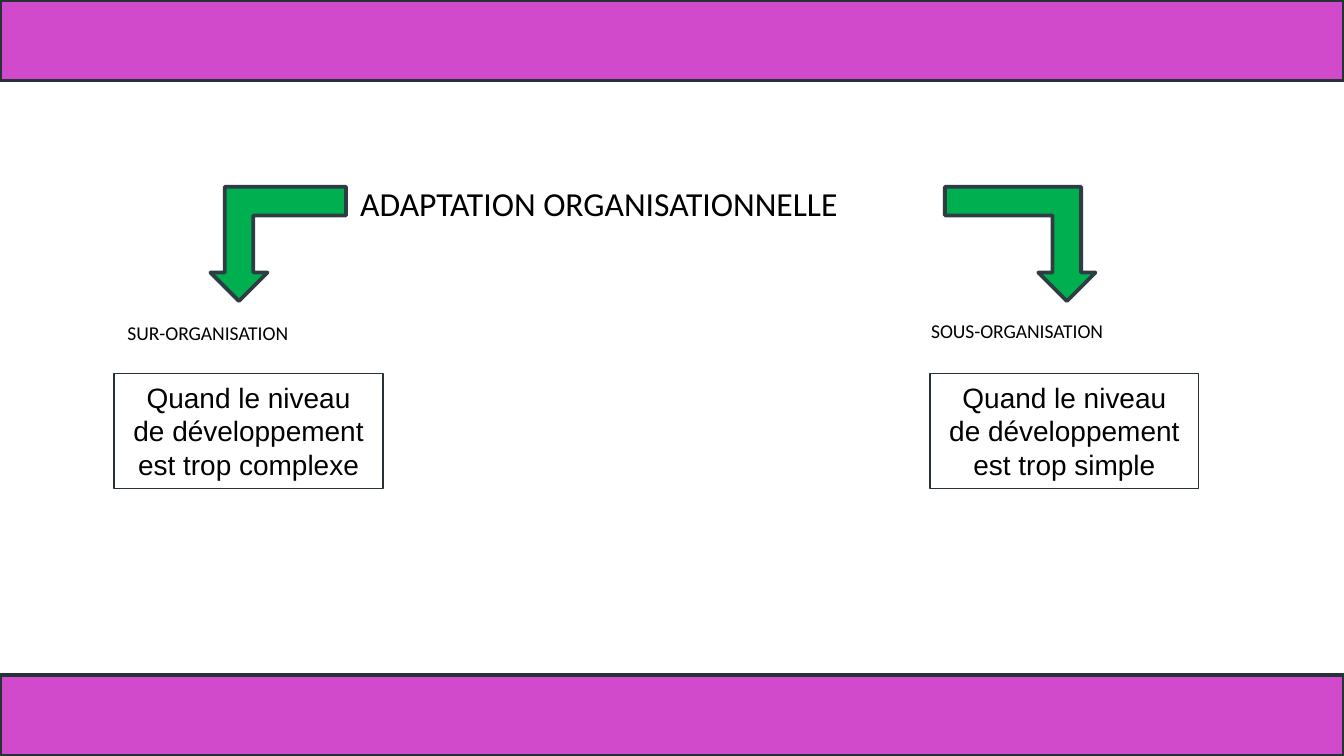
from pptx import Presentation
from pptx.dml.color import RGBColor
from pptx.enum.shapes import MSO_SHAPE as Shape
from pptx.enum.text import MSO_ANCHOR as Anchor, PP_ALIGN as Align
from pptx.util import Pt

PX = 4572  # 200 px to the inch
WIDE, HIGH, BAND = 2000, 1125, 120
PINK, GREEN, DARK, SLATE, BLACK = "D24ACC", "00B050", "263238", "2E3D44", "000000"


def emu(*vals):
    return [v * PX for v in vals]


def color(code):
    return RGBColor.from_string(code)


def write(shape, text, size, font="Calibri", align=Align.LEFT, anchor=Anchor.TOP, side=20):
    frame = shape.text_frame
    frame.word_wrap = True
    frame.vertical_anchor = anchor
    frame.margin_left = frame.margin_right = side * PX
    frame.margin_top = frame.margin_bottom = 10 * PX
    par = frame.paragraphs[0]
    par.alignment = align
    run = par.add_run()
    run.text = text
    run.font.size = Pt(size)
    run.font.name = font
    run.font.color.rgb = color(BLACK)


def draw(slide, kind, box, fill=None, line=DARK, width=2):
    shape = slide.shapes.add_shape(kind, *emu(*box))
    shape.shadow.inherit = False
    if fill:
        shape.fill.solid()
        shape.fill.fore_color.rgb = color(fill)
    else:
        shape.fill.background()
    shape.line.color.rgb = color(line)
    shape.line.width = Pt(width)
    return shape


def add_title(slide, text, box):
    title = slide.shapes.title
    title.left, title.top, title.width, title.height = emu(*box)
    write(title, text, 18)


def add_arrow(slide, box, flip):
    arrow = draw(slide, Shape.BENT_UP_ARROW, box, GREEN, SLATE)
    arrow.rotation = 180
    if flip:
        arrow._element.spPr.xfrm.set("flipH", "1")


def add_branch(slide, box, label, text, note_at, arrow, flip=False):
    """Arrow down to a label, with a framed definition below."""
    x, y, w, h = box
    dx, reach = arrow
    add_arrow(slide, (x + dx, y, reach, 170), flip)
    # Label
    left, top = note_at
    note = slide.shapes.add_textbox(*emu(x + left, y + top, 444, 56))
    write(note, label, 10.5)
    # Definition
    card = draw(slide, Shape.RECTANGLE, (x, y + h - 171, w, 171), width=0.75)
    write(card, text, 15, font="Arial", align=Align.CENTER, side=24)


def main():
    deck = Presentation()
    deck.slide_width, deck.slide_height = emu(WIDE, HIGH)
    slide = deck.slides.add_slide(deck.slide_layouts[5])

    # Bands at top and bottom
    for top in (0, HIGH - BAND):
        draw(slide, Shape.RECTANGLE, (0, top, WIDE, BAND), PINK)

    add_title(slide, "ADAPTATION ORGANISATIONNELLE", (516, 262, 1228, 80))

    # Two branches
    add_branch(slide, (170, 278, 400, 449), "SUR-ORGANISATION",
               "Quand le niveau de développement est trop complexe",
               note_at=(0, 190), arrow=(143, 202))
    add_branch(slide, (1384, 278, 400, 449), "SOUS-ORGANISATION",
               "Quand le niveau de développement est trop simple",
               note_at=(-18, 187), arrow=(22, 224), flip=True)

    deck.save("out.pptx")


if __name__ == "__main__":
    main()
